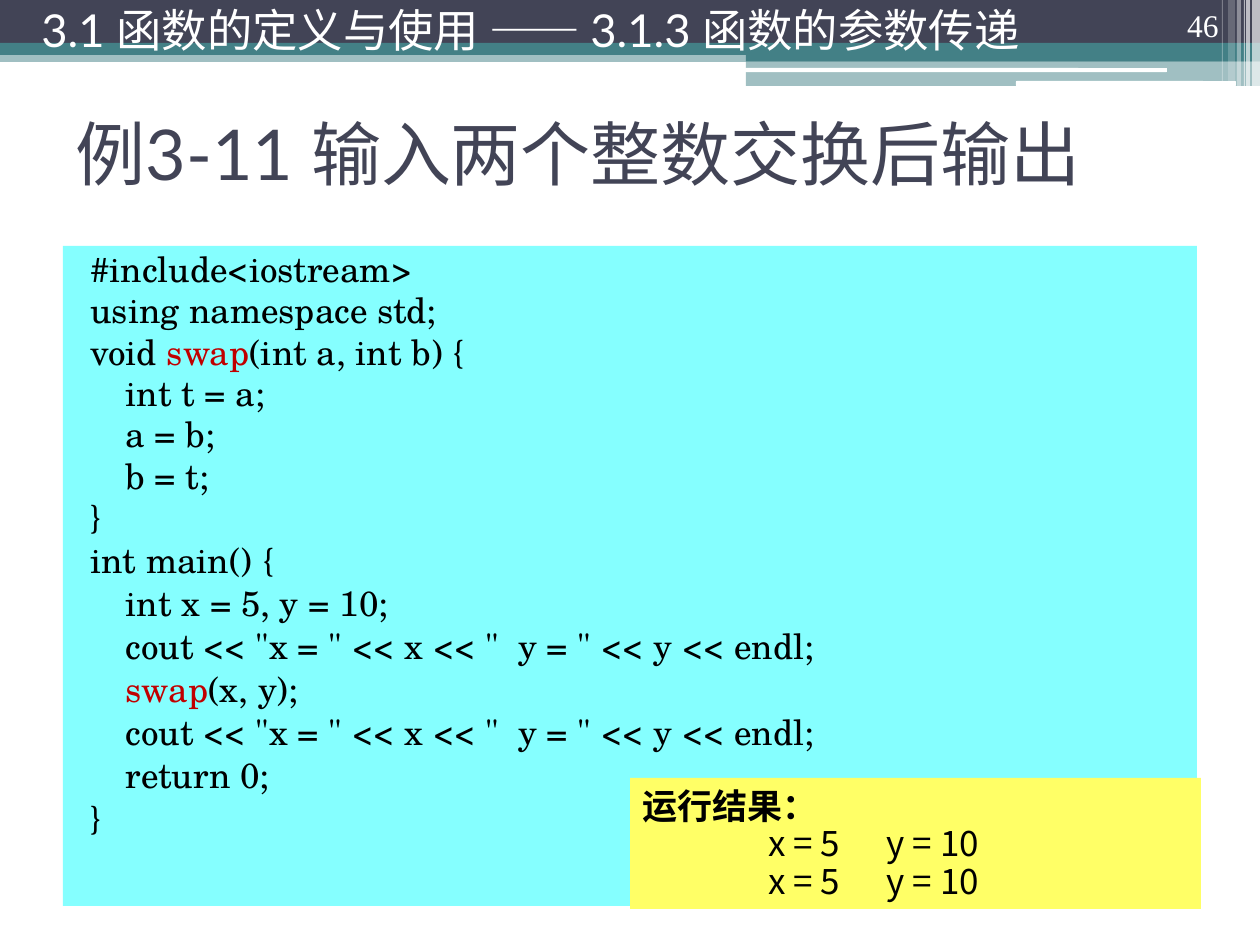
from dataclasses import dataclass

from lxml import etree
from pptx import Presentation
from pptx import util as u
from pptx.dml.color import RGBColor
from pptx.enum import shapes, text
from pptx.oxml.ns import qn

PX = 914400 / 126
LATO, SCHOLA, CJK = "Lato", "TeX Gyre Schola", "Noto Sans CJK SC"
NAVY, TEAL, WHITE, BLACK, RED = "424456", "438086", "FFFFFF", "000000", "C00000"
RECT, ROUND = shapes.MSO_SHAPE.RECTANGLE, shapes.MSO_SHAPE.ROUNDED_RECTANGLE


@dataclass
class Bar:
    box: tuple
    color: str
    opacity: int = 100
    kind: int = RECT


@dataclass
class Style:
    font: str
    size: float
    color: str = BLACK
    bold: bool = False


def px(n: int) -> int:
    return round(n * PX)


def rgb(color: str) -> RGBColor:
    return RGBColor.from_string(color)


def draw_bar(s, bar: Bar) -> None:
    sp = s.shapes.add_shape(bar.kind, *map(px, bar.box))
    sp.shadow.inherit = False
    sp.line.fill.background()
    sp.fill.solid()
    sp.fill.fore_color.rgb = rgb(bar.color)
    if bar.opacity < 100:
        clr = sp.fill._xPr.find(".//" + qn("a:srgbClr"))
        etree.SubElement(clr, qn("a:alpha"), val=str(bar.opacity * 1000))


def add_run(p, words: str, style: Style, color: str = "") -> None:
    r = p.add_run()
    r.text = words
    values = {"name": style.font, "size": u.Pt(style.size), "bold": style.bold}
    for name, value in values.items():
        setattr(r.font, name, value)
    r.font.color.rgb = rgb(color or style.color)
    etree.SubElement(r._r.get_or_add_rPr(), qn("a:ea"), typeface=CJK)


def add_box(s, box: tuple, anchor=text.MSO_ANCHOR.TOP, fill: str = ""):
    sp = s.shapes.add_textbox(*map(px, box))
    if fill:
        sp.fill.solid()
        sp.fill.fore_color.rgb = rgb(fill)
    tf = sp.text_frame
    tf.word_wrap = True
    tf.vertical_anchor = anchor
    return tf


def next_paragraph(tf, first: bool, **values):
    p = tf.paragraphs[0] if first else tf.add_paragraph()
    for name, value in values.items():
        setattr(p, name, value)
    return p


# Decorative header: bands, white rules, then the fading strips at the right
BARS = [
    Bar((0, 50, 1260, 12), TEAL, 50),
    Bar((0, 0, 1260, 43), NAVY),
    Bar((0, 43, 1260, 12), TEAL),
    Bar((746, 49, 514, 12), TEAL),
    Bar((746, 61, 514, 25), TEAL, 50),
    Bar((745, 68, 422, 4), WHITE, kind=ROUND),
    Bar((1016, 81, 220, 5), WHITE, kind=ROUND),
] + [Bar((x, 0, w, h), WHITE, opacity) for x, w, h, opacity in (
    (1252, 8, 86, 65), (1246, 4, 86, 65), (1244, 1, 86, 60),
    (1237, 4, 86, 40), (1228, 7, 81, 20), (1222, 1, 81, 30))]

CODE = """#include<iostream>
using namespace std;
void swap(int a, int b) {
\tint t = a;
\ta = b;
\tb = t;
}
int main() {
\tint x = 5, y = 10;
\tcout << "x = " << x << "  y = " << y << endl;
\tswap(x, y);
\tcout << "x = " << x << "  y = " << y << endl;
\treturn 0;
}""".split("\n")


def draw_code(s) -> None:
    tf = add_box(s, (63, 246, 1134, 660), fill="85FFFF")
    style = Style(SCHOLA, 20)
    main_start = CODE.index("int main() {")
    for i, line in enumerate(CODE):
        before = 0 if i == 0 else 2 if i < main_start else 3
        p = next_paragraph(tf, i == 0, line_spacing=0.9, space_before=u.Pt(before))
        pPr = p._p.get_or_add_pPr()
        pPr.set("marL", str(u.Inches(0.4)))
        pPr.set("indent", str(u.Inches(-0.28)))
        head, name, tail = line.partition("swap")
        for words, color in ((head, BLACK), (name, RED), (tail, BLACK)):
            if words:
                add_run(p, words, style, color)


def draw_result(s) -> None:
    tf = add_box(s, (630, 778, 571, 131), fill="FFFF66")
    add_run(next_paragraph(tf, True), "运行结果：", Style(CJK, 20, bold=True))
    for _ in range(2):
        p = next_paragraph(tf, False, line_spacing=0.9)
        tabs = etree.SubElement(p._p.get_or_add_pPr(), qn("a:tabLst"))
        for stop in (1, 1.94):
            etree.SubElement(tabs, qn("a:tab"), pos=str(u.Inches(stop)), algn="l")
        add_run(p, "\tx = 5\ty = 10", Style(CJK, 20))


def main() -> None:
    prs = Presentation()
    prs.slide_width, prs.slide_height = px(1260), px(945)
    s = prs.slides.add_slide(prs.slide_layouts[5])
    for bar in BARS:
        draw_bar(s, bar)

    # Title
    title = s.shapes.title
    title.left, title.top, title.width, title.height = map(px, (63, 79, 1134, 147))
    title.text_frame.vertical_anchor = text.MSO_ANCHOR.MIDDLE
    p = next_paragraph(title.text_frame, True, alignment=text.PP_ALIGN.LEFT)
    add_run(p, "例3-11 输入两个整数交换后输出", Style(LATO, 40, NAVY))

    draw_code(s)

    # Page number and section heading
    tf = add_box(s, (1126, 0, 105, 50), text.MSO_ANCHOR.BOTTOM)
    p = next_paragraph(tf, True, alignment=text.PP_ALIGN.RIGHT)
    add_run(p, "46", Style("Times New Roman", 18, WHITE))
    tf = add_box(s, (29, 0, 1113, 59), text.MSO_ANCHOR.MIDDLE)
    add_run(next_paragraph(tf, True), "3.1 函数的定义与使用 —— 3.1.3 函数的参数传递",
            Style(LATO, 25.9, WHITE))

    draw_result(s)
    prs.save("out.pptx")


if __name__ == "__main__":
    main()
